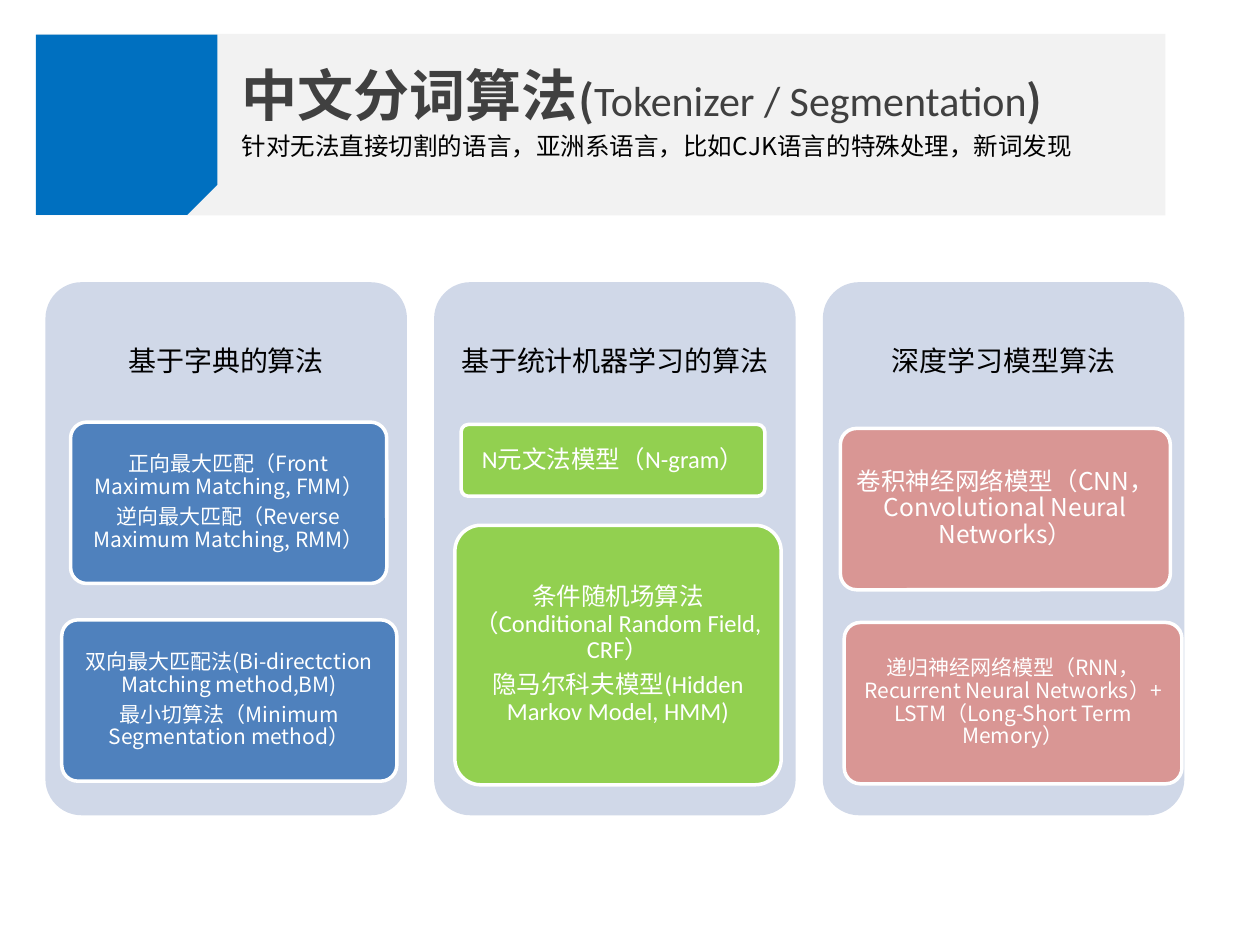
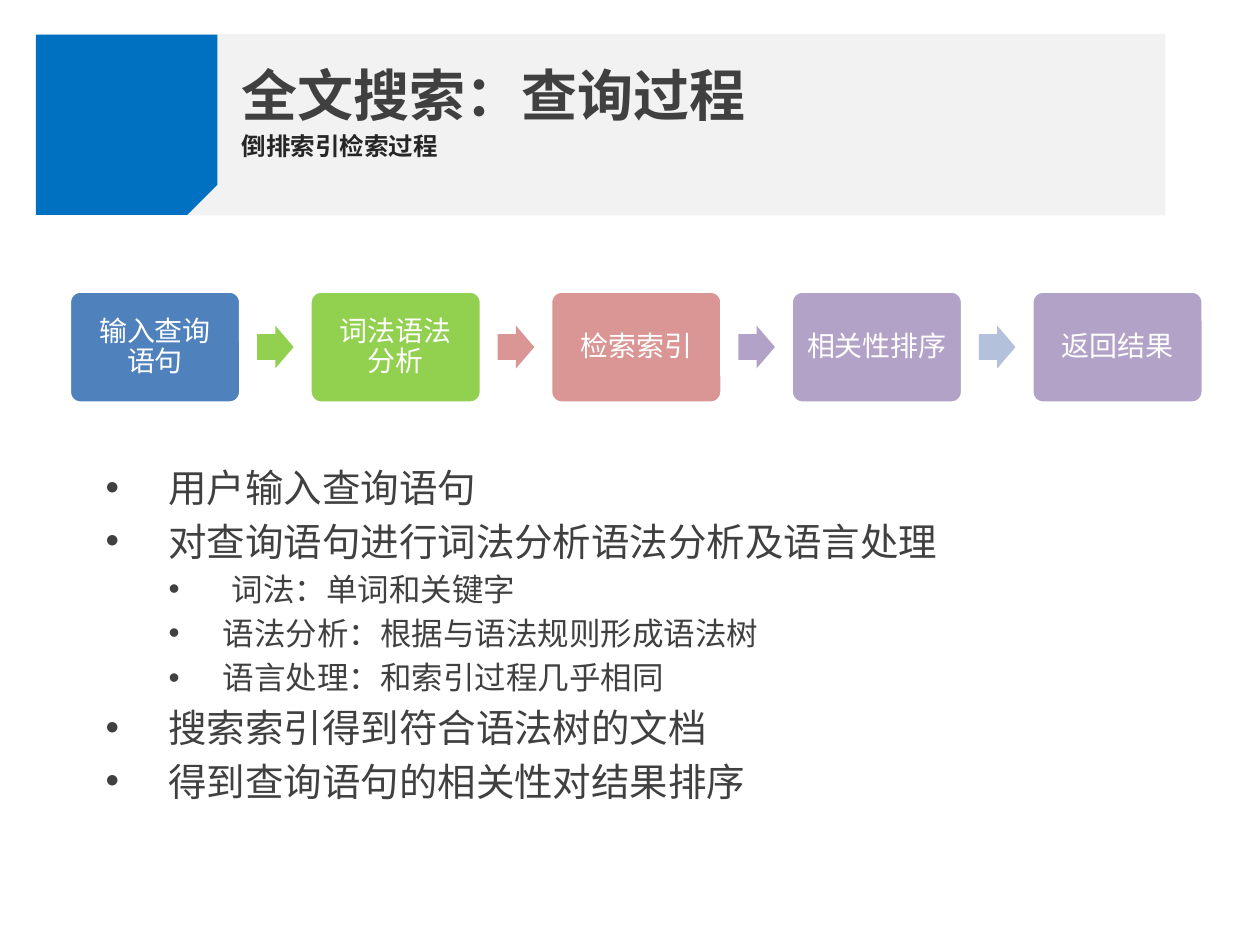
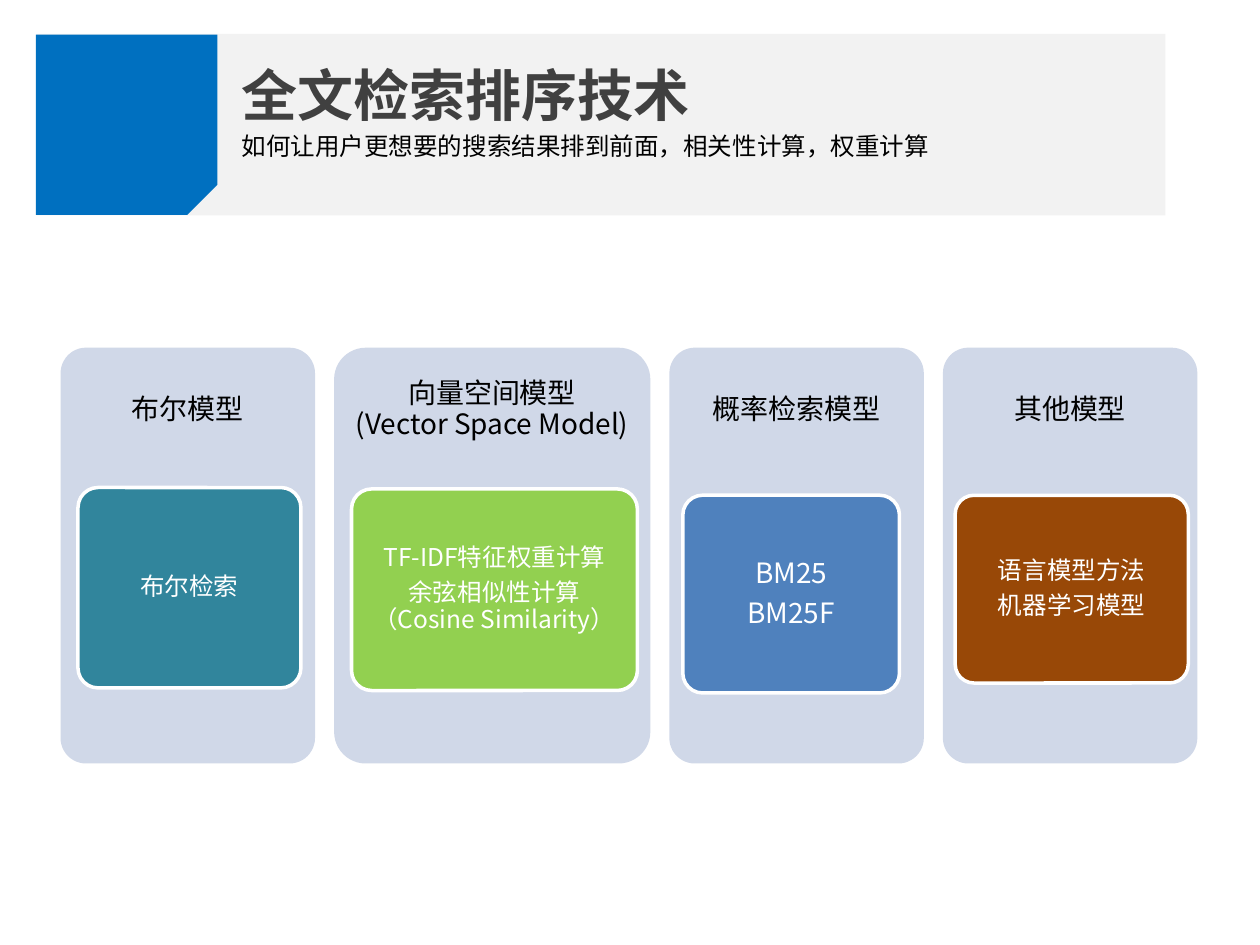
from dataclasses import dataclass
from itertools import accumulate

from lxml.etree import SubElement
from pptx import Presentation
from pptx.dml.color import RGBColor
from pptx.enum.shapes import MSO_SHAPE
from pptx.enum.text import MSO_ANCHOR, MSO_AUTO_SIZE, PP_ALIGN
from pptx.oxml.ns import qn
from pptx.util import Pt


@dataclass(frozen=True)
class Theme:
    cjk: str = "Noto Sans CJK SC"
    latin: str = "Calibri"
    black: str = "000000"
    near_black: str = "262626"
    gray: str = "404040"
    white: str = "FFFFFF"
    band: str = "F2F2F2"
    corner: str = "0070C0"
    panel: str = "D0D8E8"
    blue: str = "4F81BD"
    green: str = "92D050"
    pink: str = "D99694"
    purple: str = "B3A2C7"
    pale_blue: str = "B3C1DB"
    teal: str = "31859C"
    brown: str = "984807"
    title_size: int = 32
    title_note_size: int = 24
    bullet_size: int = 22
    sub_bullet_size: int = 18
    heading_size: int = 16
    text_size: int = 14
    small_size: int = 12


THEME = Theme()

# Boxes are (left, top, width, height) in points.
SLIDE_SIZE = (720, 540)
BAND_BOX = (20.9, 19.4, 645.1, 103.7)
CORNER_BOX = (20.9, 19.4, 103, 103.7)
TITLE_BOX = (131, 11.5, 526.3, 58.3)
SUBTITLE_BOX = (131, 71.3, 525.6, 24.5)
BULLET_BOX = (53.3, 261.4, 648, 278)

TOKENIZER = {
    "title": [
        ("中文分词算法", {}),
        ("(", {"size": THEME.title_note_size}),
        ("Tokenizer / Segmentation",
         {"size": THEME.title_note_size, "font": THEME.latin, "bold": False}),
        (")", {"size": THEME.title_note_size}),
    ],
    "subtitle": "针对无法直接切割的语言，亚洲系语言，比如CJK语言的特殊处理，新词发现",
    "panels": {"left": 26, "top": 161.3, "height": 304.6, "gap": 15.5,
               "widths": [206.6] * 3},
    "headings": ["基于字典的算法", "基于统计机器学习的算法", "深度学习模型算法"],
    "cards": [
        ((40.3, 241.2, 180.7, 92.2), THEME.blue, THEME.small_size, THEME.cjk,
         ["正向最大匹配（Front Maximum Matching, FMM）",
          "逆向最大匹配（Reverse Maximum Matching, RMM）"]),
        ((35.3, 354.2, 191.5, 92.2), THEME.blue, THEME.small_size, THEME.cjk,
         ["双向最大匹配法(Bi-directction Matching method,BM)",
          "最小切算法（Minimum Segmentation method）"]),
        ((259.9, 300.2, 186.5, 148.3), THEME.green, THEME.text_size, THEME.latin,
         ["条件随机场算法（Conditional Random Field, CRF）",
          "隐马尔科夫模型(Hidden Markov Model, HMM)"]),
        ((263.5, 242.6, 173.5, 41), THEME.green, THEME.text_size, THEME.latin,
         ["N元文法模型（N-gram）"]),
        ((480.2, 244.8, 188.6, 92.2), THEME.pink, THEME.text_size, THEME.cjk,
         ["卷积神经网络模型（CNN，Convolutional Neural Networks）"]),
        ((482.4, 355.7, 193, 92.2), THEME.pink, THEME.small_size, THEME.cjk,
         ["递归神经网络模型（RNN，Recurrent Neural Networks）+ "
          "LSTM（Long-Short Term Memory）"]),
    ],
}

QUERY = {
    "title": [("全文搜索：查询过程", {})],
    "subtitle": "倒排索引检索过程",
    "steps": [
        ("输入查询\n语句", THEME.blue),
        ("词法语法\n分析", THEME.green),
        ("检索索引", THEME.pink),
        ("相关性排序", THEME.purple),
        ("返回结果", THEME.purple),
    ],
    "arrows": [THEME.green, THEME.pink, THEME.purple, THEME.pale_blue],
    # (text, level, text indent, hanging indent)
    "bullets": [
        ("用户输入查询语句", 0, 36, 36),
        ("对查询语句进行词法分析语法分析及语言处理", 0, 36, 36),
        ("词法：单词和关键字", 1, 72, 36),
        ("语法分析：根据与语法规则形成语法树", 1, 67, 31),
        ("语言处理：和索引过程几乎相同", 1, 67, 31),
        ("搜索索引得到符合语法树的文档", 0, 36, 36),
        ("得到查询语句的相关性对结果排序", 0, 36, 36),
    ],
}

RANKING = {
    "title": [("全文检索排序技术", {})],
    "subtitle": "如何让用户更想要的搜索结果排到前面，相关性计算，权重计算",
    "panels": {"left": 34.6, "top": 198.7, "height": 237.6, "gap": 10.9,
               "widths": [145.4, 180.7, 145.4, 145.4]},
    "headings": ["布尔模型", "向量空间模型\n(Vector Space Model)",
                 "概率检索模型", "其他模型"],
    "cards": [
        ((44.6, 278.6, 127.4, 114.5), THEME.teal, THEME.text_size, THEME.cjk,
         ["布尔检索"]),
        ((200.9, 279.4, 163.4, 115.2), THEME.green, THEME.text_size, THEME.cjk,
         ["TF-IDF特征权重计算", "余弦相似性计算\n（Cosine Similarity）"]),
        ((390.2, 283, 123.8, 113), THEME.blue, THEME.heading_size, THEME.cjk,
         ["BM25", "BM25F"]),
        ((545.8, 283, 133.2, 107.3), THEME.brown, THEME.text_size, THEME.cjk,
         ["语言模型方法", "机器学习模型"]),
    ],
}


def points(box):
    return [Pt(length) for length in box]


def write(para, text, *, size, color, font=THEME.cjk, bold=False):
    """Add text to a paragraph; a newline becomes a line break."""
    for number, line in enumerate(text.split("\n")):
        if number:
            para.add_line_break()
        span = para.add_run()
        span.text = line
        span.font.size = Pt(size)
        span.font.bold = bold
        span.font.name = font
        span.font.color.rgb = RGBColor.from_string(color)
        east_asian = SubElement(span.font._element, qn("a:ea"))
        east_asian.set("typeface", THEME.cjk)
        span.font._element.find(qn("a:latin")).addnext(east_asian)


def paragraphs(frame, count):
    return [frame.paragraphs[0]] + [frame.add_paragraph() for _ in range(count - 1)]


def add_block(page, kind, box, fill, *, outlined=False):
    block = page.shapes.add_shape(kind, *points(box))
    block.shadow.inherit = False
    block.fill.solid()
    block.fill.fore_color.rgb = RGBColor.from_string(fill)
    if outlined:
        block.line.color.rgb = RGBColor.from_string(THEME.white)
        block.line.width = Pt(2)
    else:
        block.line.fill.background()
    return block


def add_rounded(page, box, fill, lines, *, inset, bottom=None, outlined=True, **style):
    """Add a rounded box with centred paragraphs."""
    block = add_block(page, MSO_SHAPE.ROUNDED_RECTANGLE, box, fill, outlined=outlined)
    block.adjustments[0] = 0.1
    frame = block.text_frame
    frame.word_wrap = True
    frame.vertical_anchor = MSO_ANCHOR.MIDDLE
    frame.margin_left = frame.margin_right = frame.margin_top = Pt(inset)
    frame.margin_bottom = Pt(inset if bottom is None else bottom)
    for para, line in zip(paragraphs(frame, len(lines)), lines):
        para.alignment = PP_ALIGN.CENTER
        para.line_spacing = 0.9
        para.space_after = Pt(0.35 * style["size"])
        write(para, line, **style)


def add_text_box(page, box):
    frame = page.shapes.add_textbox(*points(box)).text_frame
    frame.word_wrap = True
    return frame


def add_layout_band(layout, page):
    """Draw the header band on a page, then move it behind the layout's placeholders."""
    band = add_block(page, MSO_SHAPE.RECTANGLE, BAND_BOX, THEME.band)
    corner = add_block(page, MSO_SHAPE.SNIP_1_RECTANGLE, CORNER_BOX, THEME.corner)
    corner.rotation = 90
    for position, block in enumerate((band, corner), start=2):
        layout.shapes.element.insert(position, block.element)


def add_header(page, content, *, color=THEME.black, bold=False):
    title = page.shapes.title
    title.left, title.top, title.width, title.height = points(TITLE_BOX)
    frame = title.text_frame
    frame.word_wrap = True
    frame.auto_size = MSO_AUTO_SIZE.NONE
    frame.vertical_anchor = MSO_ANCHOR.TOP
    para = frame.paragraphs[0]
    para.alignment = PP_ALIGN.LEFT
    para.line_spacing = 1.5
    for text, style in content["title"]:
        write(para, text, **{"size": THEME.title_size, "color": THEME.gray,
                             "bold": True, **style})
    subtitle = add_text_box(page, SUBTITLE_BOX)
    write(subtitle.paragraphs[0], content["subtitle"],
          size=THEME.text_size, color=color, bold=bold)


def add_panels(page, content):
    """Add the columns, with headings in their top 30 %, and the cards on them."""
    panels = content["panels"]
    height = panels["height"]
    lefts = accumulate((width + panels["gap"] for width in panels["widths"]),
                       initial=panels["left"])
    for left, width, heading in zip(lefts, panels["widths"], content["headings"]):
        add_rounded(page, (left, panels["top"], width, height), THEME.panel, [heading],
                    inset=0, bottom=0.7 * height, outlined=False,
                    size=THEME.heading_size, color=THEME.black)
    for box, fill, size, font, lines in content["cards"]:
        add_rounded(page, box, fill, lines, inset=2.5,
                    size=size, color=THEME.white, font=font)


def add_steps(page, content):
    left, top, width, height, pitch = 39.6, 166.3, 98, 64.1, 137.5
    arrow_width, arrow_height = 20.9, 24.5
    for number, (label, fill) in enumerate(content["steps"]):
        add_rounded(page, (left + number * pitch, top, width, height), fill, [label],
                    inset=5, size=THEME.heading_size, color=THEME.white)
    for number, fill in enumerate(content["arrows"]):
        arrow_left = left + number * pitch + (width + pitch - arrow_width) / 2
        arrow_top = top + (height - arrow_height) / 2
        arrow = add_block(page, MSO_SHAPE.RIGHT_ARROW,
                          (arrow_left, arrow_top, arrow_width, arrow_height), fill)
        arrow.adjustments[0] = 0.6
        arrow.adjustments[1] = 0.5


def add_bullets(page, bullets):
    frame = add_text_box(page, BULLET_BOX)
    for para, (text, level, indent, hanging) in zip(
            paragraphs(frame, len(bullets)), bullets):
        size = THEME.sub_bullet_size if level else THEME.bullet_size
        para.level = level
        para.space_before = Pt(0.2 * size)
        properties = para._p.get_or_add_pPr()
        properties.set("marL", str(Pt(indent)))
        properties.set("indent", str(-Pt(hanging)))
        SubElement(properties, qn("a:buFont")).set("typeface", "Arial")
        SubElement(properties, qn("a:buChar")).set("char", "•")
        write(para, text, size=size, color=THEME.gray,
              font=THEME.latin if level else THEME.cjk)


def main():
    deck = Presentation()
    deck.slide_width, deck.slide_height = points(SLIDE_SIZE)
    layout = deck.slide_layouts[5]
    tokenizer, query, ranking = [deck.slides.add_slide(layout) for _ in range(3)]
    add_layout_band(layout, tokenizer)

    add_header(tokenizer, TOKENIZER)
    add_panels(tokenizer, TOKENIZER)

    add_header(query, QUERY, color=THEME.near_black, bold=True)
    add_bullets(query, QUERY["bullets"])
    add_steps(query, QUERY)

    add_header(ranking, RANKING)
    add_panels(ranking, RANKING)
    deck.save("out.pptx")


if __name__ == "__main__":
    main()
